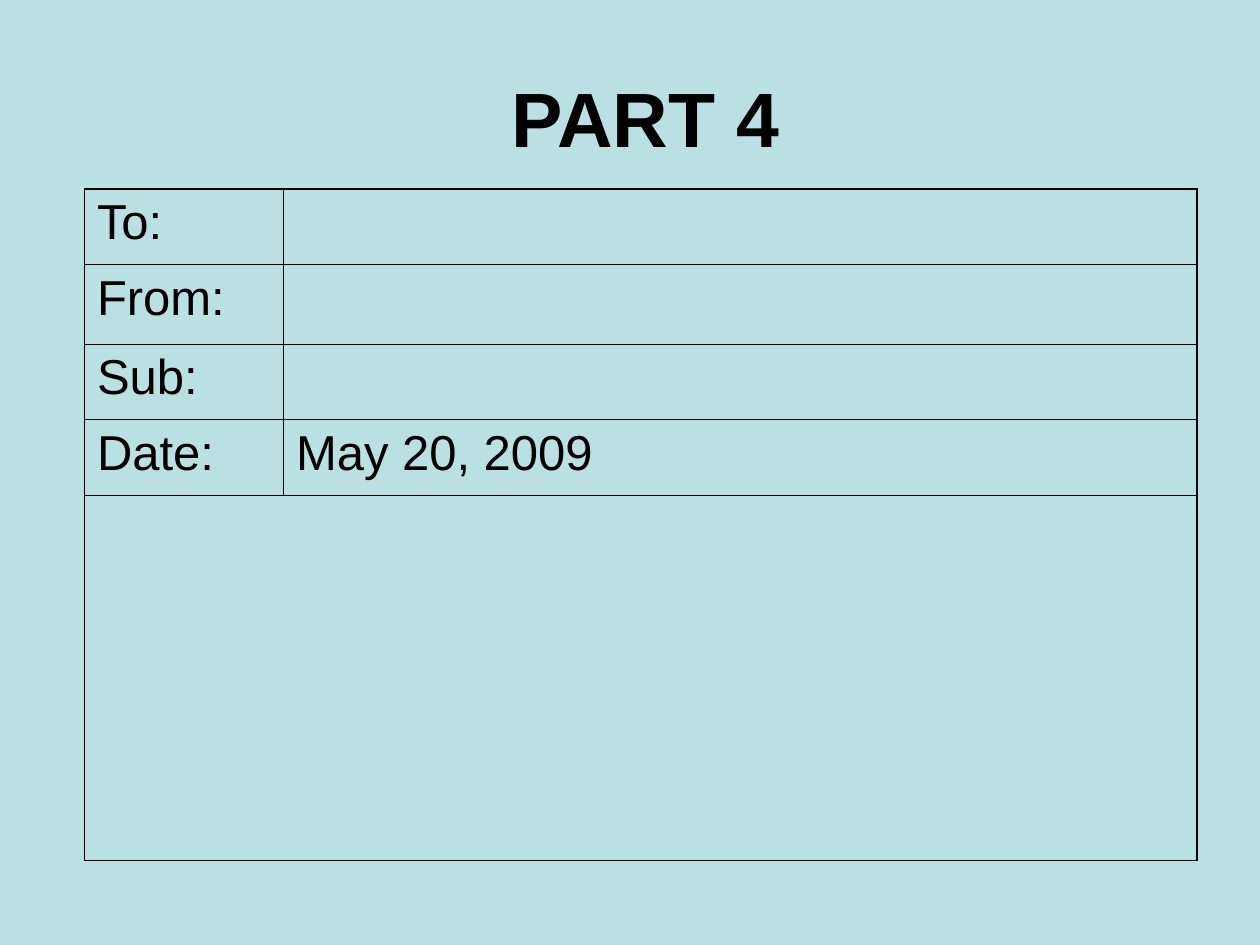
from lxml.etree import SubElement
from pptx import Presentation
from pptx.dml.color import RGBColor
from pptx.enum.text import MSO_ANCHOR, PP_ALIGN
from pptx.oxml.ns import qn
from pptx.util import Inches, Pt

COLORS = {"background": "BBE0E3", "ink": "000000"}
TITLE_FONT = {"name": "Arial", "size": Pt(44), "bold": True}
CELL_FONT = {"name": "Arial", "size": Pt(28), "bold": False}
OUTER, INNER = Pt(1.08), Pt(0.45)
MEMO = [("To:", ""), ("From:", ""), ("Sub:", ""), ("Date:", "May 20, 2009"), ("", "")]
COL_WIDTHS = [1.58, 7.25]
ROW_HEIGHTS = [0.6, 0.63, 0.6, 0.6, 2.9]


def format_font(font, values):
    """Apply format values and the ink colour to a font."""
    for name, value in values.items():
        setattr(font, name, value)
    font.color.rgb = RGBColor.from_string(COLORS["ink"])


def set_borders(cell, widths):
    """Draw the cell's edges, given as a dict of side letter to width."""
    tcPr = cell._tc.get_or_add_tcPr()
    for side, width in widths.items():
        ln = SubElement(tcPr, qn(f"a:ln{side}"), w=str(int(width)))
        fill = SubElement(ln, qn("a:solidFill"))
        SubElement(fill, qn("a:srgbClr"), val=COLORS["ink"])


def add_title(s, text, left, top, width, height):
    """Place and format the title placeholder in the given box."""
    sp = s.shapes.title
    box = {"left": left, "top": top, "width": width, "height": height}
    for name, value in box.items():
        setattr(sp, name, Inches(value))
    tf = sp.text_frame
    tf.text = text
    tf.vertical_anchor = MSO_ANCHOR.MIDDLE
    p = tf.paragraphs[0]
    p.alignment = PP_ALIGN.CENTER
    format_font(p.runs[0].font, TITLE_FONT)


def add_memo(s, left, top, width, height):
    """Add the memo form, with a merged body row, in the given box."""
    last_row, last_col = len(ROW_HEIGHTS) - 1, len(COL_WIDTHS) - 1
    box = [Inches(v) for v in (left, top, width, height)]
    table = s.shapes.add_table(last_row + 1, last_col + 1, *box).table
    table.first_row = table.horz_banding = False
    for col, value in zip(table.columns, COL_WIDTHS):
        col.width = Inches(value)
    for row, value in zip(table.rows, ROW_HEIGHTS):
        row.height = Inches(value)
    table.cell(last_row, 0).merge(table.cell(last_row, last_col))
    for i, texts in enumerate(MEMO):
        for j, text in enumerate(texts):
            cell = table.cell(i, j)
            set_borders(cell, {
                "L": OUTER if j == 0 else INNER,
                "R": OUTER if j == last_col or i == last_row else INNER,
                "T": OUTER if i == 0 else INNER,
                "B": OUTER if i == last_row else INNER,
            })
            cell.fill.background()
            if text:
                cell.text = text
                format_font(cell.text_frame.paragraphs[0].runs[0].font, CELL_FONT)


def main():
    """Build the memo slide and save it."""
    prs = Presentation()
    prs.slide_width, prs.slide_height = Inches(10), Inches(7.5)
    s = prs.slides.add_slide(prs.slide_layouts[5])
    s.background.fill.solid()
    s.background.fill.fore_color.rgb = RGBColor.from_string(COLORS["background"])
    add_title(s, "PART 4", 0.75, 0.3, 8.75, 1.25)
    add_memo(s, 0.67, 1.5, sum(COL_WIDTHS), sum(ROW_HEIGHTS))
    prs.save("out.pptx")


if __name__ == "__main__":
    main()
